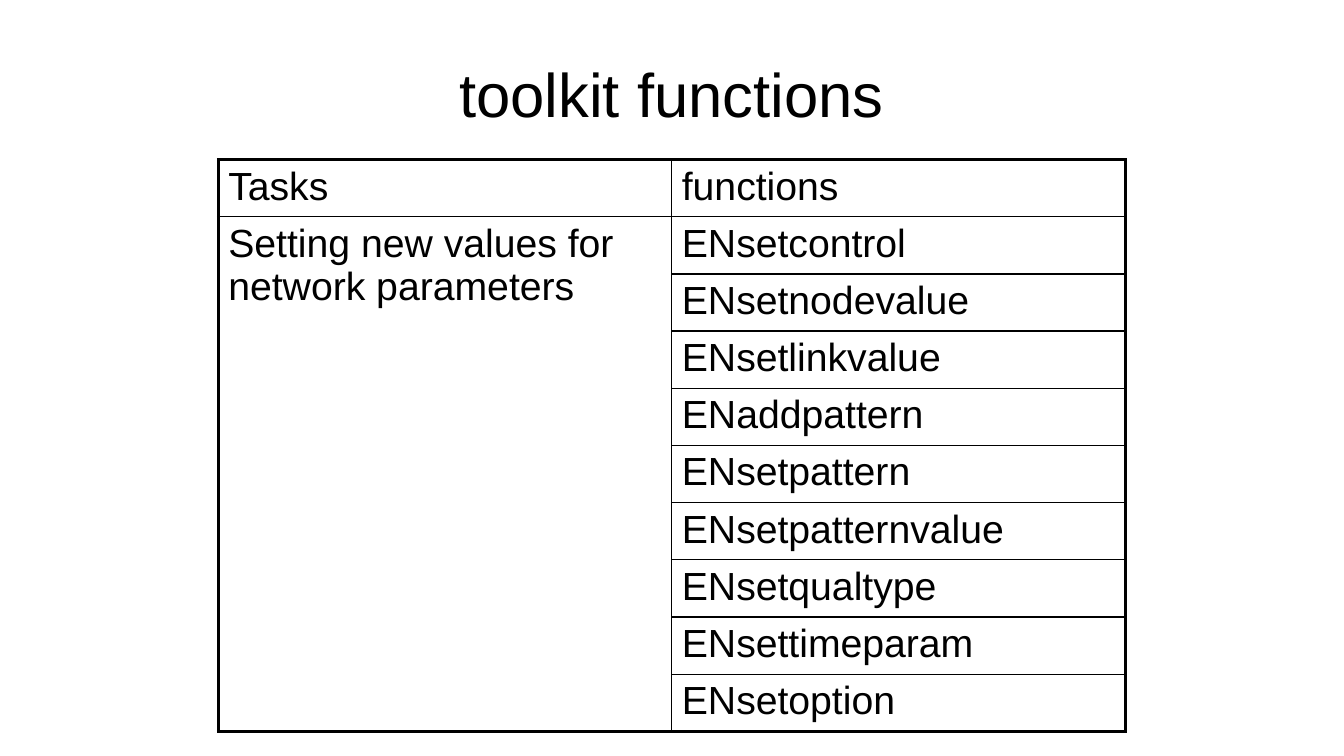
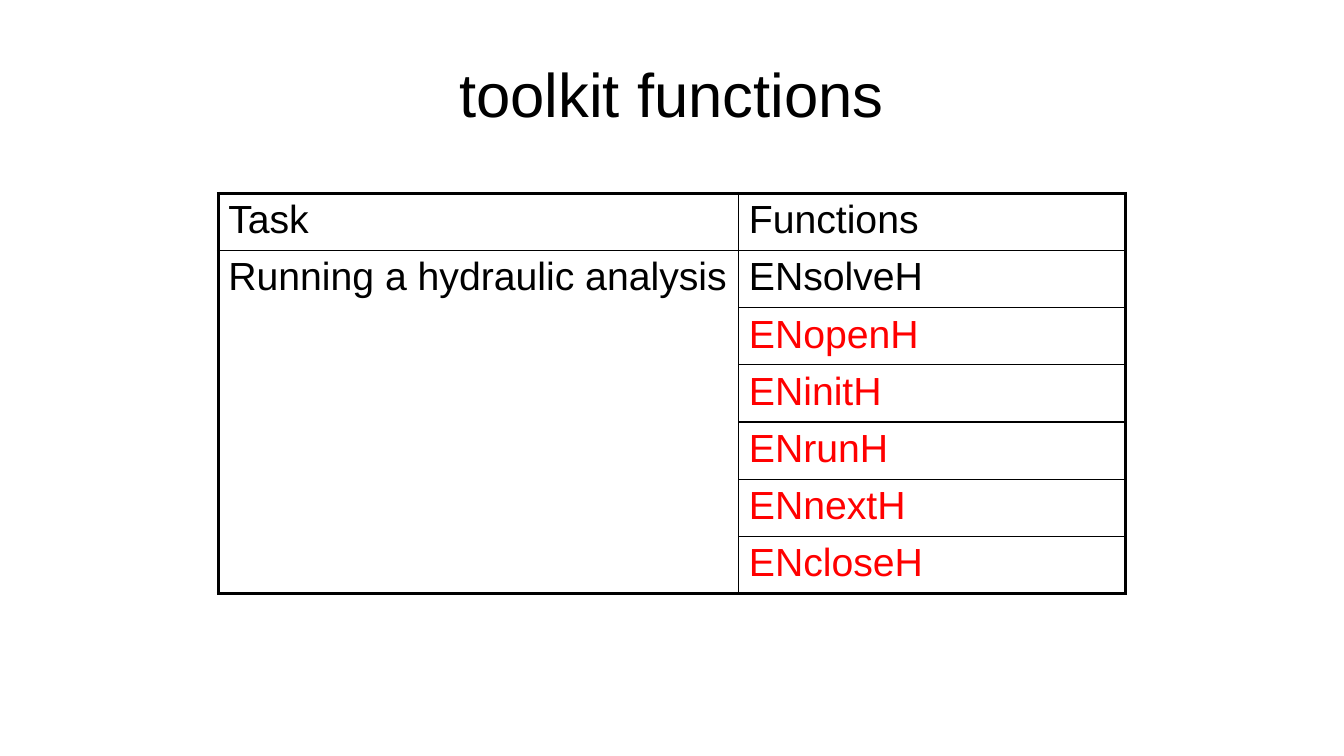
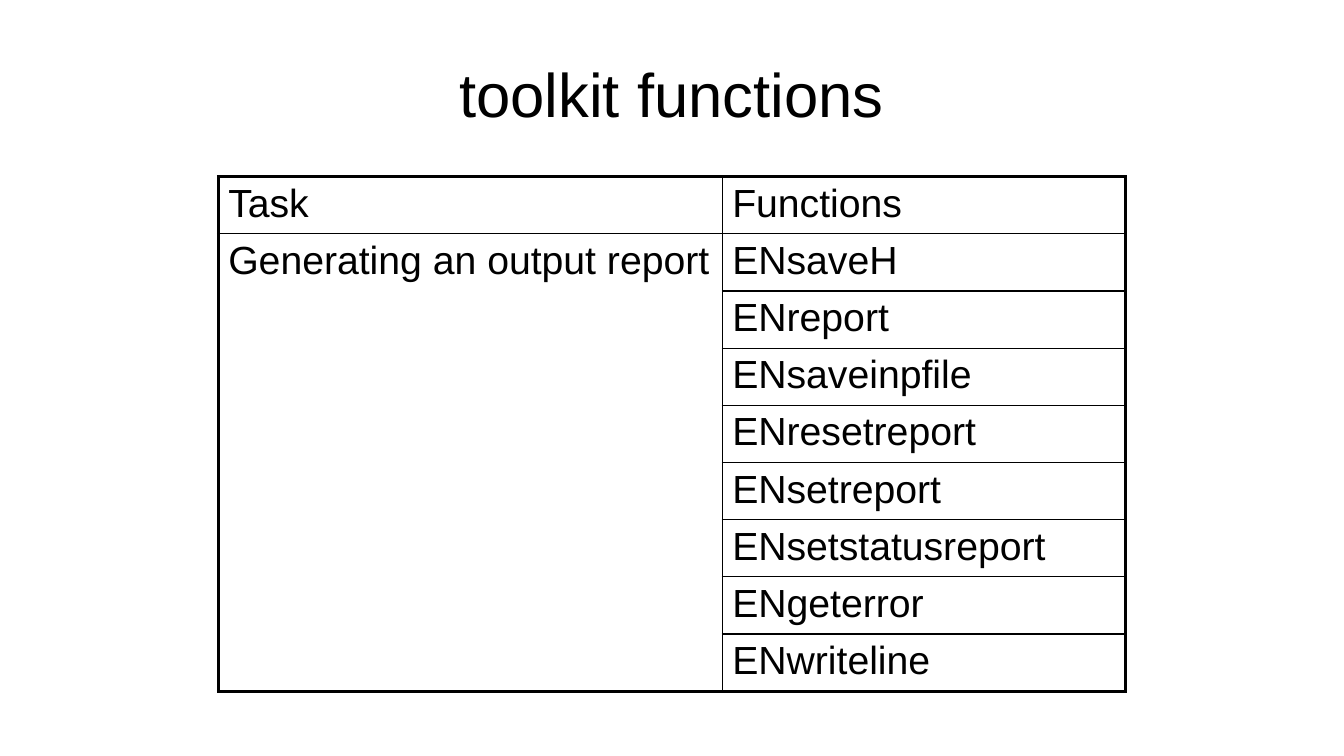
from dataclasses import dataclass

from lxml import etree
from pptx import Presentation
from pptx.dml.color import RGBColor
from pptx.enum.text import MSO_ANCHOR, PP_ALIGN
from pptx.oxml.ns import qn
from pptx.util import Cm, Pt

MIDDLE, TOP = MSO_ANCHOR.MIDDLE, MSO_ANCHOR.TOP
CENTER, LEFT = PP_ALIGN.CENTER, PP_ALIGN.LEFT


@dataclass(frozen=True)
class Theme:
    font: str = "Arial"
    ink: str = "000000"
    accent: str = "FF0000"
    paper: str = "FFFFFF"
    title: int = 44
    body: int = 28
    thin: float = 1
    thick: float = 2.25


class Deck:
    """Holds the theme and the current slide."""

    def __init__(self, theme):
        self.theme = theme
        self.file = Presentation()
        self.file.slide_width, self.file.slide_height = Cm(33.87), Cm(19.05)
        self.slide = None

    def page(self, title):
        self.slide = self.file.slides.add_slide(self.file.slide_layouts[6])
        fill = self.slide.background.fill
        fill.solid()
        fill.fore_color.rgb = RGBColor.from_string(self.theme.paper)
        self.title(title)

    def title(self, text):
        box = self.slide.shapes.add_textbox(Cm(1.69), Cm(0.76), Cm(30.48), Cm(3.18))
        frame = box.text_frame
        frame.word_wrap = True
        frame.vertical_anchor = MIDDLE
        self.label(frame, text, self.theme.title, self.theme.ink, CENTER)

    def label(self, frame, text, size, color, align):
        para = frame.paragraphs[0]
        para.alignment = align
        run = para.add_run()
        run.text = text
        run.font.name = self.theme.font
        run.font.size = Pt(size)
        run.font.color.rgb = RGBColor.from_string(color)

    def edge(self, cell, side, width):
        props = cell._tc.get_or_add_tcPr()
        line = etree.SubElement(props, qn("a:ln" + side), w=str(Pt(width)))
        fill = etree.SubElement(line, qn("a:solidFill"))
        etree.SubElement(fill, qn("a:srgbClr"), val=self.theme.ink)

    def table(self, top, split, heads, task, names, marked):
        """Two columns: one task spanning all of its function names."""
        last = len(names)
        wide, high = 22.86, 1.44
        shape = self.slide.shapes.add_table(
            last + 1, 2, Cm(5.5), Cm(top), Cm(wide), Cm(high * (last + 1)))
        grid = shape.table
        grid.first_row = grid.horz_banding = False
        grid.columns[0].width, grid.columns[1].width = Cm(split), Cm(wide - split)
        for row in grid.rows:
            row.height = Cm(high)
        grid.cell(1, 0).merge(grid.cell(last, 0))

        # Thick frame outside, thin rules inside
        for r in range(last + 1):
            for c in range(2):
                cell = grid.cell(r, c)
                outer = {"L": c == 0, "R": c == 1, "T": r == 0,
                         "B": r == last or cell.is_merge_origin}
                for side, bold in outer.items():
                    self.edge(cell, side, self.theme.thick if bold else self.theme.thin)
                cell.fill.background()
                cell.vertical_anchor = TOP

        # Wording
        texts = {(0, 0): heads[0], (0, 1): heads[1], (1, 0): task}
        texts.update({(r, 1): name for r, name in enumerate(names, 1)})
        for (r, c), text in texts.items():
            color = self.theme.accent if text in marked else self.theme.ink
            self.label(grid.cell(r, c).text_frame, text, self.theme.body, color, LEFT)


# Table top, first column width, headings, task, functions, marked functions
STEPS = ["ENopenH", "ENinitH", "ENrunH", "ENnextH", "ENcloseH"]
PAGES = [
    (4.02, 11.43, ("Tasks", "functions"), "Setting new values for network parameters",
     ["ENsetcontrol", "ENsetnodevalue", "ENsetlinkvalue", "ENaddpattern",
      "ENsetpattern", "ENsetpatternvalue", "ENsetqualtype", "ENsettimeparam",
      "ENsetoption"], []),
    (4.87, 13.12, ("Task", "Functions"), "Running a hydraulic analysis",
     ["ENsolveH"] + STEPS, STEPS),
    (4.45, 12.7, ("Task", "Functions"), "Generating an output report",
     ["ENsaveH", "ENreport", "ENsaveinpfile", "ENresetreport", "ENsetreport",
      "ENsetstatusreport", "ENgeterror", "ENwriteline"], []),
]

deck = Deck(Theme())
for page in PAGES:
    deck.page("toolkit functions")
    deck.table(*page)
deck.file.save("out.pptx")
